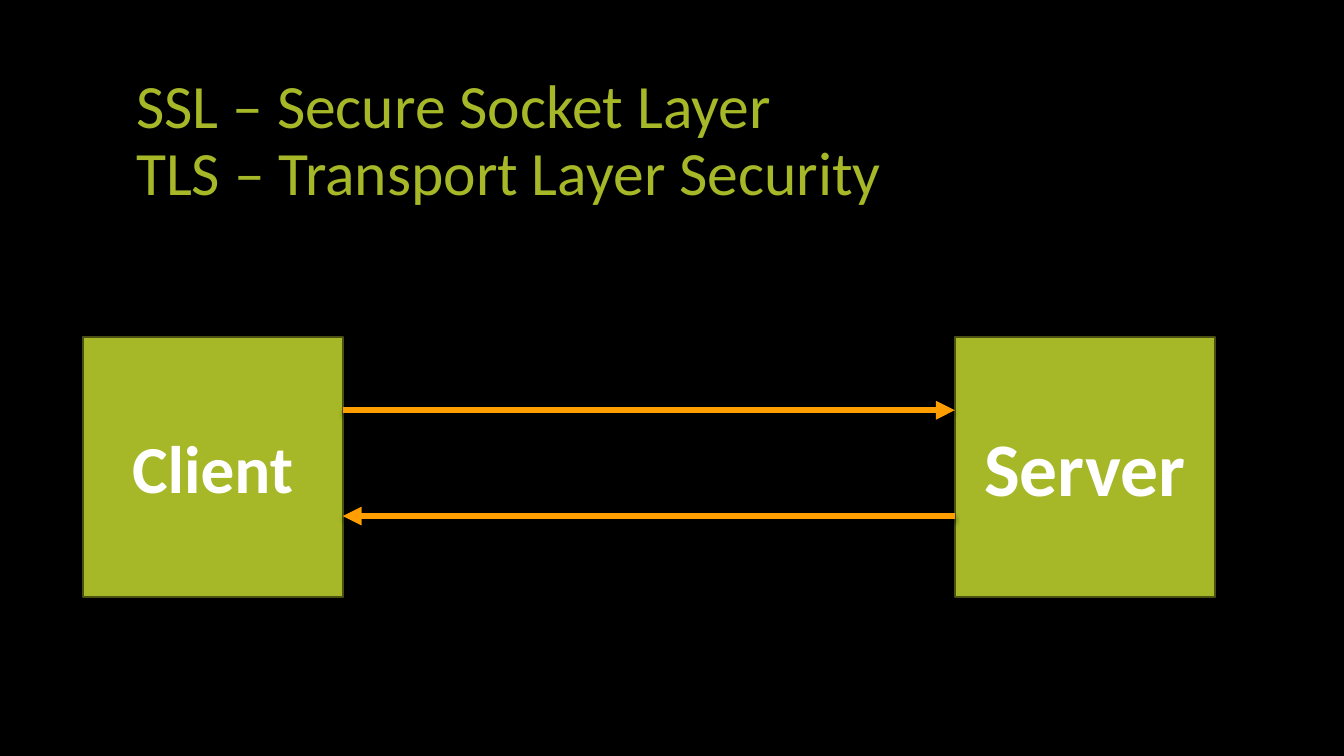
from lxml.etree import SubElement
from pptx import Presentation
from pptx.dml.color import RGBColor
from pptx.enum.shapes import MSO_CONNECTOR, MSO_SHAPE
from pptx.enum.text import MSO_ANCHOR, MSO_AUTO_SIZE, PP_ALIGN
from pptx.oxml.ns import qn
from pptx.util import Emu, Pt

EMU_PER_PX = 9144
FONT = "Calibri"
GREEN = "A6B727"
DARK_GREEN = "495011"
ORANGE = "FE9E00"
WHITE = "FFFFFF"
BLACK = "000000"


def px(length):
    return Emu(length * EMU_PER_PX)


def color(hex_string):
    return RGBColor.from_string(hex_string)


def format_text(text_frame, size, hex_string, alignment, bold=False):
    text_frame.word_wrap = True
    text_frame.auto_size = MSO_AUTO_SIZE.NONE
    text_frame.vertical_anchor = MSO_ANCHOR.MIDDLE
    for paragraph in text_frame.paragraphs:
        paragraph.alignment = alignment
        for run in paragraph.runs:
            run.font.name = FONT
            run.font.size = Pt(size)
            run.font.bold = bold
            run.font.color.rgb = color(hex_string)


def place_title(slide, lines, left, top, width, height):
    title = slide.shapes.title
    title.left, title.top = px(left), px(top)
    title.width, title.height = px(width), px(height)
    title.text_frame.text = ""
    paragraph = title.text_frame.paragraphs[0]
    paragraph.text = "\v".join(lines)
    paragraph.line_spacing = 0.9
    format_text(title.text_frame, 44, GREEN, PP_ALIGN.LEFT)


def add_host(slide, name, size, left, top, side):
    host = slide.shapes.add_shape(
        MSO_SHAPE.RECTANGLE, px(left), px(top), px(side), px(side))
    host.shadow.inherit = False
    host.fill.solid()
    host.fill.fore_color.rgb = color(GREEN)
    host.line.color.rgb = color(DARK_GREEN)
    host.line.width = Pt(1.5)
    host.text_frame.text = name
    format_text(host.text_frame, size, WHITE, PP_ALIGN.CENTER, bold=True)


def add_message_arrow(slide, start, end, y):
    arrow = slide.shapes.add_connector(
        MSO_CONNECTOR.STRAIGHT, px(start), px(y), px(end), px(y))
    arrow.line.color.rgb = color(ORANGE)
    arrow.line.width = Pt(4.5)
    SubElement(arrow.line._get_or_add_ln(), qn("a:tailEnd"), type="triangle")
    effects = SubElement(arrow._element.spPr, qn("a:effectLst"))
    shadow = SubElement(
        effects, qn("a:outerShdw"), blurRad=str(Pt(3)), dist=str(Pt(2)),
        dir="5400000", algn="ctr", rotWithShape="0")
    shadow_color = SubElement(shadow, qn("a:srgbClr"), val=BLACK)
    SubElement(shadow_color, qn("a:alpha"), val="45000")


def add_exchange(slide, left, top, width, side):
    client_edge = left + side
    server_edge = left + width - side
    add_host(slide, "Client", 48, left, top, side)
    add_host(slide, "Server", 54, server_edge, top, side)
    add_message_arrow(slide, client_edge, server_edge, top + 73)
    add_message_arrow(slide, server_edge, client_edge, top + 178)


def main():
    presentation = Presentation()
    presentation.slide_width = px(1333)
    presentation.slide_height = px(750)
    slide = presentation.slides.add_slide(presentation.slide_layouts[5])
    slide.background.fill.solid()
    slide.background.fill.fore_color.rgb = color(BLACK)
    lines = ["SSL – Secure Socket Layer", "TLS – Transport Layer Security"]
    place_title(slide, lines, 125, 67, 1080, 148)
    add_exchange(slide, 82, 334, 1123, 258)
    presentation.save("out.pptx")


if __name__ == "__main__":
    main()
